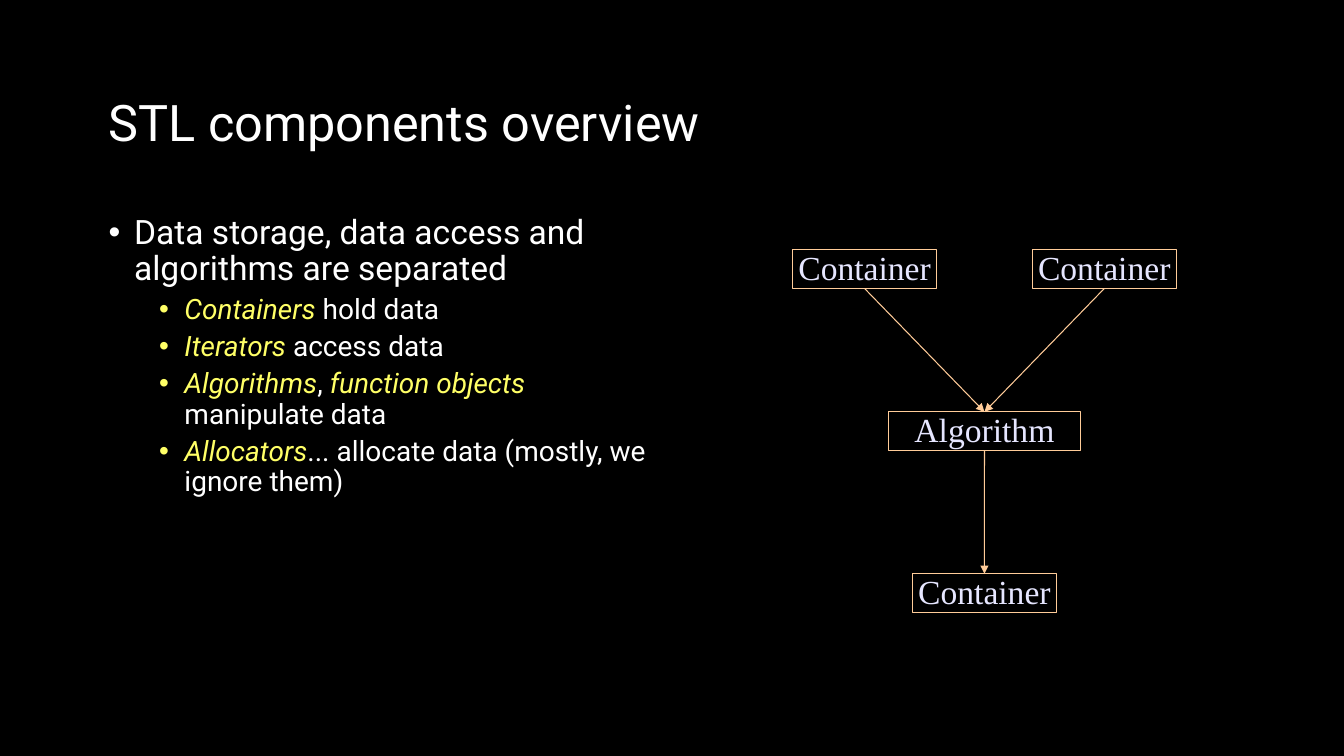
from dataclasses import dataclass

from lxml import etree
from pptx import Presentation
from pptx import util as u
from pptx.dml.color import RGBColor
from pptx.enum import shapes, text
from pptx.oxml import ns


@dataclass(frozen=True)
class Theme:
    background: RGBColor = RGBColor(0x00, 0x00, 0x00)
    body: RGBColor = RGBColor(0xFF, 0xFF, 0xFF)
    term: RGBColor = RGBColor(0xFF, 0xFF, 0x66)
    line: RGBColor = RGBColor(0xFF, 0xCC, 0x99)
    label: RGBColor = RGBColor(0xE6, 0xE6, 0xFF)
    text_font: str = "Roboto"
    label_font: str = "Times New Roman"
    title_size: u.Pt = u.Pt(36)
    topic_size: u.Pt = u.Pt(24)
    point_size: u.Pt = u.Pt(20)
    label_size: u.Pt = u.Pt(24)
    line_width: u.Pt = u.Pt(0.75)


theme = Theme()


def set_font(font, name, size, color):
    font.name, font.size = name, size
    font.color.rgb = color


def style_line(line):
    line.color.rgb = theme.line
    line.width = theme.line_width


deck = Presentation()
deck.slide_width, deck.slide_height = u.Cm(33.87), u.Cm(19.05)
page = deck.slides.add_slide(deck.slide_layouts[6])
page.background.fill.solid()
page.background.fill.fore_color.rgb = theme.background

title = page.shapes.add_textbox(u.Cm(2.49), u.Cm(1.57), u.Cm(28.93), u.Cm(3.18)).text_frame
title.word_wrap = True
title.vertical_anchor = text.MSO_ANCHOR.MIDDLE
para = title.paragraphs[0]
para.text = "STL components overview"
para.line_spacing = 0.9
set_font(para.font, theme.text_font, theme.title_size, theme.body)

points = [
    (0, [("Data storage, data access and algorithms are separated", False)]),
    (1, [("Containers", True), (" hold data", False)]),
    (1, [("Iterators", True), (" access data", False)]),
    (1, [("Algorithms", True), (", ", False), ("function objects", True), (" manipulate data", False)]),
    (1, [("Allocators", True), ("... allocate data (mostly, we ignore them)", False)]),
]
body = page.shapes.add_textbox(u.Cm(2.49), u.Cm(5.31), u.Cm(14.12), u.Cm(11.99)).text_frame
body.word_wrap = True
for index, (level, spans) in enumerate(points):
    para = body.add_paragraph() if index else body.paragraphs[0]
    para.level = level
    para.line_spacing = 0.9
    para.space_before = u.Pt(5 if level else 10)
    properties = para._p.get_or_add_pPr()
    properties.set("marL", str(u.Cm(1.91 if level else 0.64)))
    properties.set("indent", str(u.Cm(-0.64)))
    etree.SubElement(properties, ns.qn("a:buFont")).set("typeface", "Arial")
    etree.SubElement(properties, ns.qn("a:buChar")).set("char", "•")
    para.font.name = theme.text_font
    para.font.size = theme.point_size if level else theme.topic_size
    for words, is_term in spans:
        span = para.add_run()
        span.text = words
        span.font.italic = is_term
        span.font.color.rgb = theme.term if is_term else theme.body

axis, spread = 24.81, 3.02
first_row, row_step, box_height = 6.3, 4.08, 0.97
nodes = [
    ("Container", -spread, 0, 3.63),
    ("Container", spread, 0, 3.63),
    ("Algorithm", 0, 1, 4.83),
    ("Container", 0, 2, 3.63),
]
boxes = []
for label, offset, row, width in nodes:
    box = page.shapes.add_shape(
        shapes.MSO_SHAPE.ROUNDED_RECTANGLE,
        u.Cm(axis + offset - width / 2), u.Cm(first_row + row * row_step),
        u.Cm(width), u.Cm(box_height),
    )
    box.adjustments[0] = 0
    box.shadow.inherit = False
    box.fill.background()
    style_line(box.line)
    frame = box.text_frame
    frame.margin_left = frame.margin_right = frame.margin_top = frame.margin_bottom = 0
    frame.word_wrap = False
    frame.vertical_anchor = text.MSO_ANCHOR.MIDDLE
    para = frame.paragraphs[0]
    para.text = label
    para.alignment = text.PP_ALIGN.CENTER
    para.line_spacing = 0.95
    set_font(para.font, theme.label_font, theme.label_size, theme.label)
    boxes.append(box)

left_input, right_input, algorithm, output = boxes
top_site, bottom_site = 0, 2
for source, target in [(left_input, algorithm), (right_input, algorithm), (algorithm, output)]:
    arrow = page.shapes.add_connector(shapes.MSO_CONNECTOR.STRAIGHT, 0, 0, 0, 0)
    arrow.begin_connect(source, bottom_site)
    arrow.end_connect(target, top_site)
    style_line(arrow.line)
    etree.SubElement(arrow.line._get_or_add_ln(), ns.qn("a:tailEnd")).set("type", "triangle")
    etree.SubElement(arrow._element.spPr, ns.qn("a:effectLst"))

deck.save("out.pptx")
